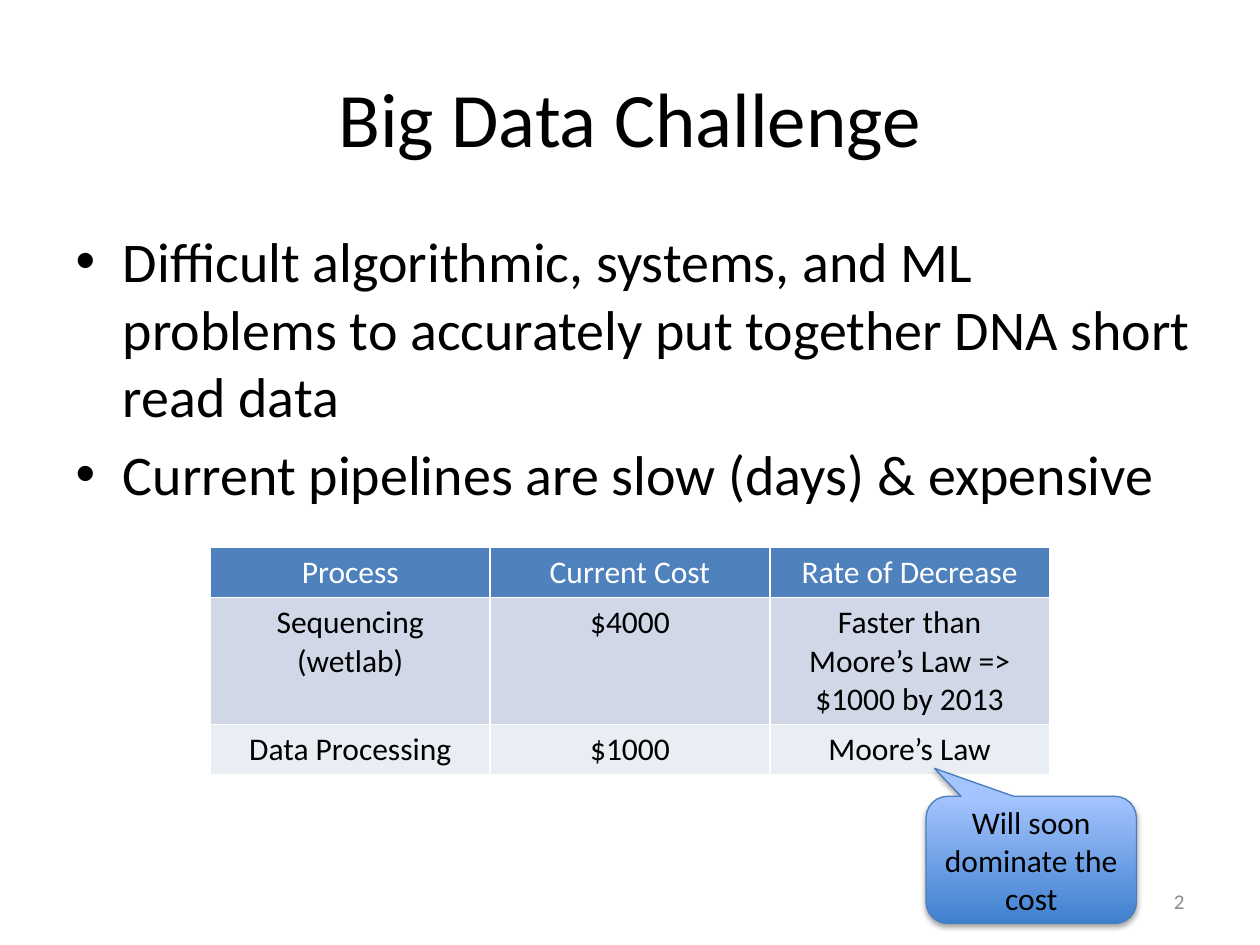
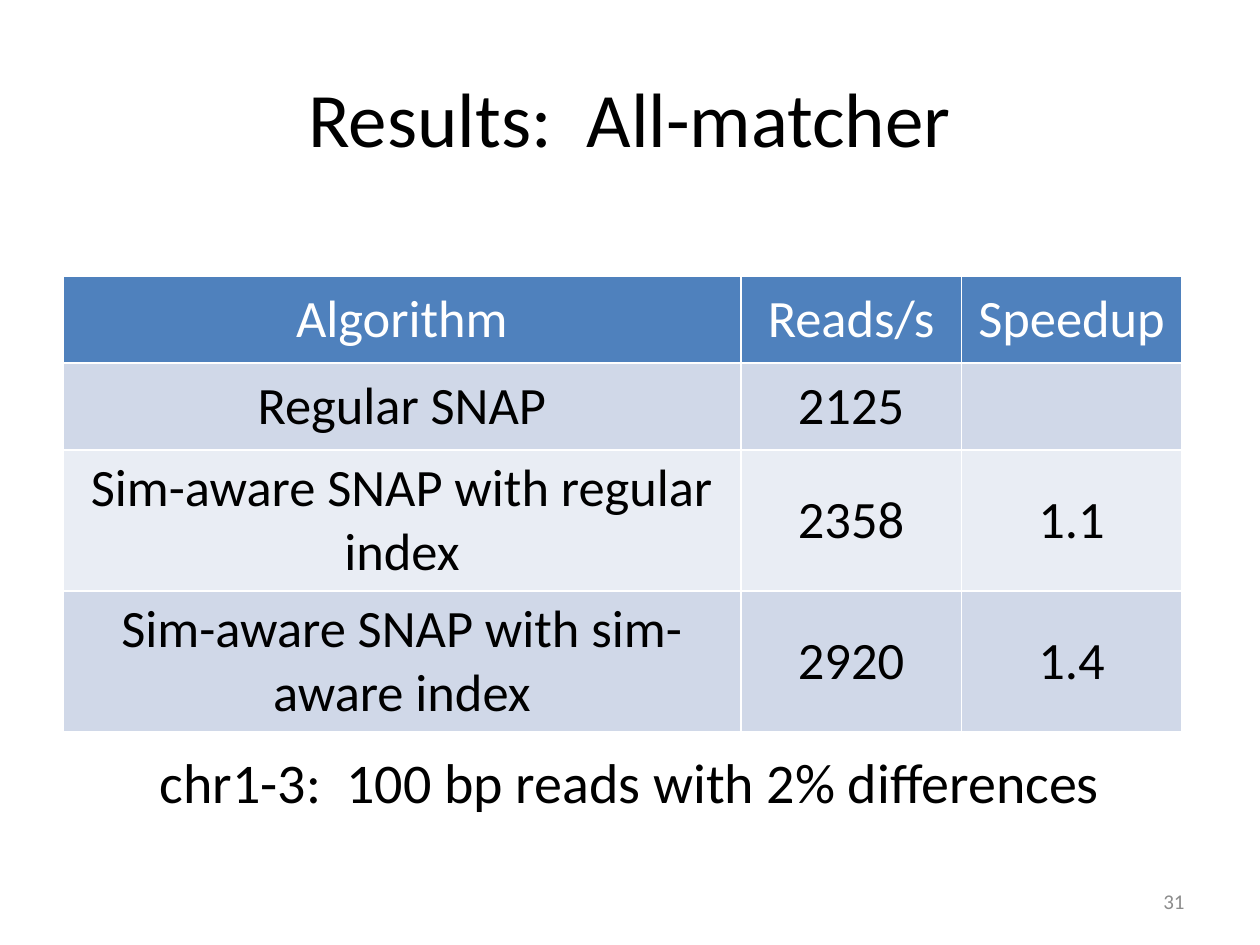
from lxml.etree import SubElement
from pptx import Presentation
from pptx.dml.color import RGBColor
from pptx.enum.shapes import MSO_SHAPE
from pptx.enum.text import MSO_ANCHOR, PP_ALIGN
from pptx.oxml.ns import qn
from pptx.util import Inches, Pt

COLORS = {
    "ink": "000000",
    "white": "FFFFFF",
    "muted": "8C8C8C",
    "header": "4F81BD",
    "band_dark": "D0D8E8",
    "band_light": "E9EDF4",
    "callout_bottom": "3F80CE",
    "callout_top": "A4C4FF",
    "callout_edge": "4B7EBC",
}
TITLE_ONLY, TITLE_AND_BODY = 5, 1


def rgb(name):
    return RGBColor.from_string(COLORS[name])


def set_all(target, values):
    for key, value in values.items():
        setattr(target, key, value)


def place(shape, left, top, width, height):
    bounds = {"left": left, "top": top, "width": width, "height": height}
    set_all(shape, {side: Inches(length) for side, length in bounds.items()})


def write(paragraph, words, size, color="ink", align=None):
    paragraph.alignment = align
    if words:
        run = paragraph.add_run()
        run.text = words
        set_all(run.font, {"name": "Calibri", "size": Pt(size), "bold": False})
        run.font.color.rgb = rgb(color)


def start_slide(deck, layout, heading, number):
    slide = deck.slides.add_slide(deck.slide_layouts[layout])
    place(slide.shapes.title, 0.5, 0.3, 9, 1.25)
    write(slide.shapes.title.text_frame.paragraphs[0], heading, 44, align=PP_ALIGN.CENTER)
    add_label(slide, (7.17, 6.95, 2.33, 0.4), number, 12, "muted",
              PP_ALIGN.RIGHT, MSO_ANCHOR.MIDDLE)
    return slide


def add_label(slide, bounds, words, size, color="ink",
              align=PP_ALIGN.CENTER, anchor=MSO_ANCHOR.TOP):
    frame = slide.shapes.add_textbox(*map(Inches, bounds)).text_frame
    set_all(frame, {"word_wrap": True, "vertical_anchor": anchor})
    write(frame.paragraphs[0], words, size, color, align)


def add_points(slide, points):
    body = slide.placeholders[1]
    place(body, 0.5, 1.75, 9.08, 4.95)
    for index, point in enumerate(points):
        frame = body.text_frame
        paragraph = frame.add_paragraph() if index else frame.paragraphs[0]
        paragraph.space_before = Pt(6.4 if index else 0)
        write(paragraph, point, 32)


def rule_cell(cell):
    properties = cell._tc.get_or_add_tcPr()
    for index, side in enumerate(("lnL", "lnR", "lnT", "lnB")):
        line = properties.makeelement(qn(f"a:{side}"), {"w": str(Pt(1))})
        fill = SubElement(line, qn("a:solidFill"))
        SubElement(fill, qn("a:srgbClr"), val=COLORS["white"])
        properties.insert(index, line)


def add_grid(slide, left, top, widths, heights, rows, size, anchor):
    grid = slide.shapes.add_table(
        len(rows), len(widths), Inches(left), Inches(top),
        Inches(sum(widths)), Inches(sum(heights))).table
    for column, width in zip(grid.columns, widths):
        column.width = Inches(width)
    for index, (values, height) in enumerate(zip(rows, heights)):
        grid.rows[index].height = Inches(height)
        band = "band_dark" if index % 2 else "band_light"
        for cell, value in zip(grid.rows[index].cells, values):
            cell.fill.solid()
            cell.fill.fore_color.rgb = rgb(band if index else "header")
            cell.vertical_anchor = anchor
            rule_cell(cell)
            write(cell.text_frame.paragraphs[0], value, size,
                  "ink" if index else "white", PP_ALIGN.CENTER)


def add_soft_shadow(shape):
    effects = SubElement(shape._element.spPr, qn("a:effectLst"))
    shadow = SubElement(effects, qn("a:outerShdw"), blurRad=str(Pt(3.1)),
                        dist=str(Pt(1.8)), dir="5400000", rotWithShape="0")
    tint = SubElement(shadow, qn("a:srgbClr"), val=COLORS["ink"])
    SubElement(tint, qn("a:alpha"), val="35000")


def add_callout(slide, bounds, words):
    callout = slide.shapes.add_shape(
        MSO_SHAPE.ROUNDED_RECTANGULAR_CALLOUT, *map(Inches, bounds))
    for index, value in enumerate((-0.46, -0.72, 0.17)):
        callout.adjustments[index] = value
    callout.fill.gradient()
    callout.fill.gradient_angle = 90
    for stop, color in zip(callout.fill.gradient_stops, ("callout_bottom", "callout_top")):
        stop.color.rgb = rgb(color)
    callout.line.color.rgb = rgb("callout_edge")
    callout.line.width = Pt(0.75)
    add_soft_shadow(callout)
    set_all(callout.text_frame, {
        "word_wrap": True, "vertical_anchor": MSO_ANCHOR.MIDDLE,
        "margin_left": Inches(0.04), "margin_right": Inches(0.04),
        "margin_top": 0, "margin_bottom": 0})
    write(callout.text_frame.paragraphs[0], words, 18, align=PP_ALIGN.CENTER)


def add_challenge(deck):
    slide = start_slide(deck, TITLE_AND_BODY, "Big Data Challenge", "2")
    add_points(slide, [
        "Difficult algorithmic, systems, and ML problems to accurately put together "
        "DNA short read data",
        "Current pipelines are slow (days) & expensive",
    ])
    costs = [
        ("Process", "Current Cost", "Rate of Decrease"),
        ("Sequencing (wetlab)", "$4000", "Faster than Moore’s Law => $1000 by 2013"),
        ("Data Processing", "$1000", "Moore’s Law"),
    ]
    add_grid(slide, 1.67, 4.34, [2.22] * 3, [0.4, 1.01, 0.4], costs, 18, MSO_ANCHOR.TOP)
    add_callout(slide, (7.35, 6.32, 1.67, 1.01), "Will soon dominate the cost")


def add_results(deck):
    slide = start_slide(deck, TITLE_ONLY, "Results:  All-matcher", "31")
    speeds = [
        ("Algorithm", "Reads/s", "Speedup"),
        ("Regular SNAP", "2125", ""),
        ("Sim-aware SNAP with regular index", "2358", "1.1"),
        ("Sim-aware SNAP with sim-aware index", "2920", "1.4"),
    ]
    add_grid(slide, 0.5, 2.19, [5.38, 1.75, 1.75], [0.69, 0.69, 1.12, 1.12],
             speeds, 30, MSO_ANCHOR.MIDDLE)
    add_label(slide, (0.5, 5.88, 9, 0.64), "chr1-3:  100 bp reads with 2% differences", 32)


def main():
    deck = Presentation()
    set_all(deck, {"slide_width": Inches(10), "slide_height": Inches(7.5)})
    add_challenge(deck)
    add_results(deck)
    deck.save("out.pptx")


if __name__ == "__main__":
    main()
